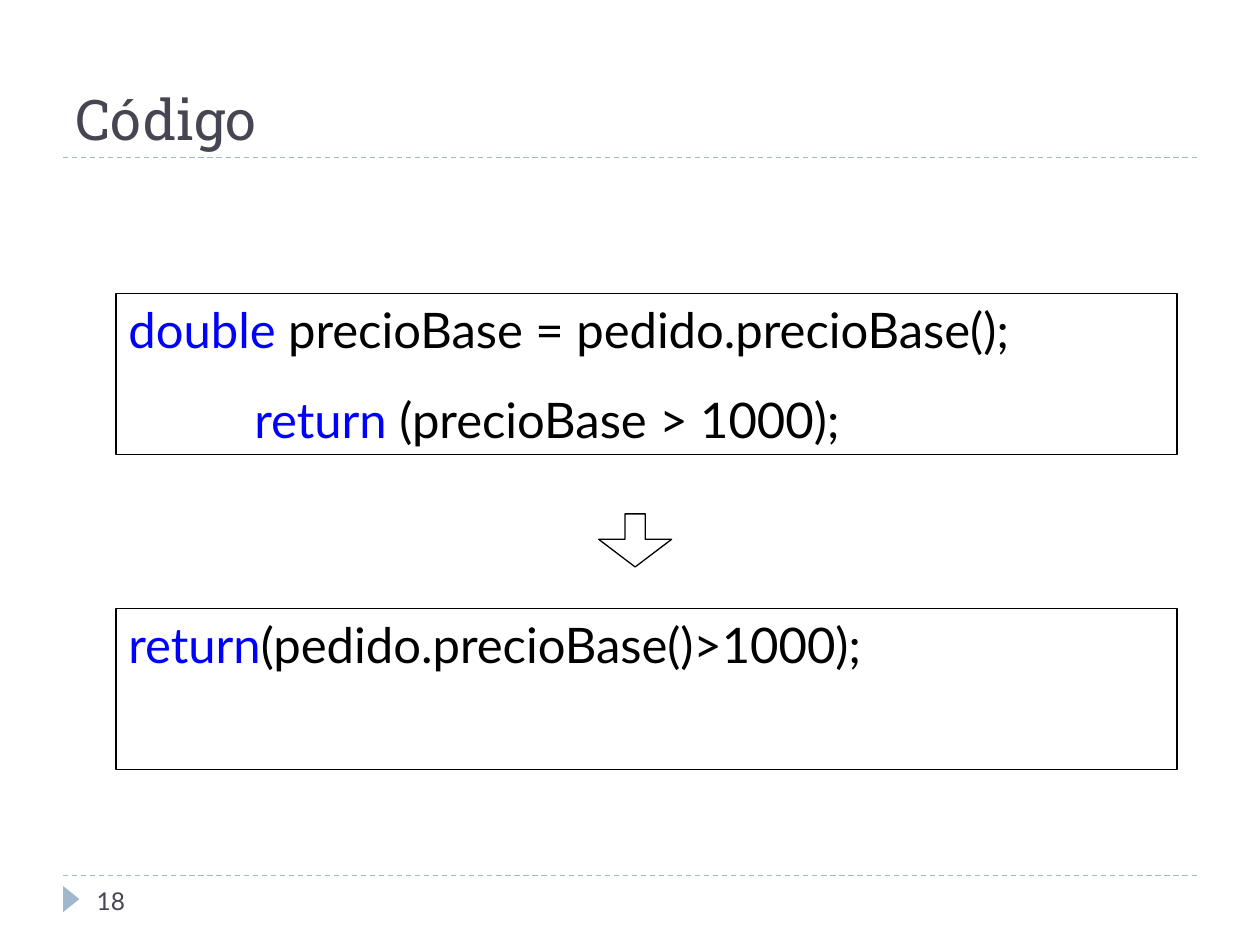
from typing import NamedTuple

from lxml.etree import SubElement
from pptx import Presentation
from pptx.dml.color import RGBColor
from pptx.enum.dml import MSO_LINE_DASH_STYLE as Dash
from pptx.enum.shapes import MSO_CONNECTOR as Link, MSO_SHAPE as Kind
from pptx.enum.text import MSO_ANCHOR as Anchor, PP_ALIGN as Align
from pptx.oxml.ns import qn
from pptx.util import Cm, Pt

BLACK = RGBColor(0x00, 0x00, 0x00)
BLUE = RGBColor(0x00, 0x00, 0xFF)
SLATE = RGBColor(0x46, 0x46, 0x53)
STEEL = RGBColor(0x9F, 0xB8, 0xCD)

BODY = "Lato"
HEAD = "Roboto Slab"
THIN = Pt(0.75)
TAB = Cm(2.54)


class Area(NamedTuple):
    left: float
    top: float
    width: float
    height: float


class Part(NamedTuple):
    text: str
    color: RGBColor


class Code(NamedTuple):
    top: float
    lines: list[list[Part]]


CODES = [
    Code(5.92, [
        [Part("double ", BLUE), Part("precioBase = pedido.precioBase();", BLACK)],
        [Part("\treturn ", BLUE), Part("(precioBase > 1000);", BLACK)],
    ]),
    Code(12.27, [
        [Part("return", BLUE), Part("(pedido.precioBase()>1000);", BLACK)],
    ]),
]
RULES = [3.18, 17.65]


def apply(target, values: dict) -> None:
    for name, value in values.items():
        setattr(target, name, value)


def write(shape, lines: list[list[Part]], font: str, size: float,
          anchor=Anchor.TOP) -> None:
    frame = shape.text_frame
    apply(frame, {"word_wrap": True, "vertical_anchor": anchor})
    for row, parts in enumerate(lines):
        para = frame.add_paragraph() if row else frame.paragraphs[0]
        tabs = SubElement(para._p.get_or_add_pPr(), qn("a:tabLst"))
        SubElement(tabs, qn("a:tab"), pos=str(TAB), algn="l")
        para.alignment = Align.LEFT
        if row:
            para.space_before = Pt(17.5)
        for part in parts:
            run = para.add_run()
            run.text = part.text
            apply(run.font, {"name": font, "size": Pt(size)})
            run.font.color.rgb = part.color


def add_text(slide, area: Area, part: Part, font: str, size: float,
             anchor) -> None:
    box = slide.shapes.add_textbox(*map(Cm, area))
    write(box, [[part]], font, size, anchor)


def add_rule(slide, top: float) -> None:
    rule = slide.shapes.add_connector(
        Link.STRAIGHT, Cm(1.27), Cm(top), Cm(24.13), Cm(top))
    rule.line.color.rgb = STEEL
    apply(rule.line, {"width": THIN, "dash_style": Dash.DASH})
    SubElement(rule._element.spPr, qn("a:effectLst"))


def add_shape(slide, kind, area: Area):
    shape = slide.shapes.add_shape(kind, *map(Cm, area))
    shape.shadow.inherit = False
    return shape


def add_frame(slide, kind, area: Area):
    shape = add_shape(slide, kind, area)
    shape.fill.background()
    shape.line.color.rgb = BLACK
    shape.line.width = THIN
    return shape


def add_mark(slide) -> None:
    mark = add_shape(slide, Kind.ISOSCELES_TRIANGLE, Area(1.17, 17.96, 0.53, 0.33))
    mark.rotation = 90
    mark.fill.solid()
    mark.fill.fore_color.rgb = STEEL
    mark.line.fill.background()


def main() -> None:
    deck = Presentation()
    apply(deck, {"slide_width": Cm(25.4), "slide_height": Cm(19.05)})
    slide = deck.slides.add_slide(deck.slide_layouts[6])

    for top in RULES:
        add_rule(slide, top)
    add_mark(slide)
    add_text(slide, Area(1.27, 0.64, 22.86, 2.54), Part("Código", SLATE),
             HEAD, 32, Anchor.BOTTOM)
    add_text(slide, Area(1.7, 17.65, 5.51, 1.02), Part("18", SLATE),
             BODY, 14, Anchor.MIDDLE)

    for code in CODES:
        box = add_frame(slide, Kind.RECTANGLE, Area(2.34, code.top, 21.39, 3.25))
        write(box, code.lines, BODY, 28)

    arrow = add_frame(slide, Kind.DOWN_ARROW, Area(12.07, 10.36, 1.47, 1.07))
    arrow.adjustments[0] = 0.28
    arrow.adjustments[1] = 0.52

    deck.save("out.pptx")


if __name__ == "__main__":
    main()
